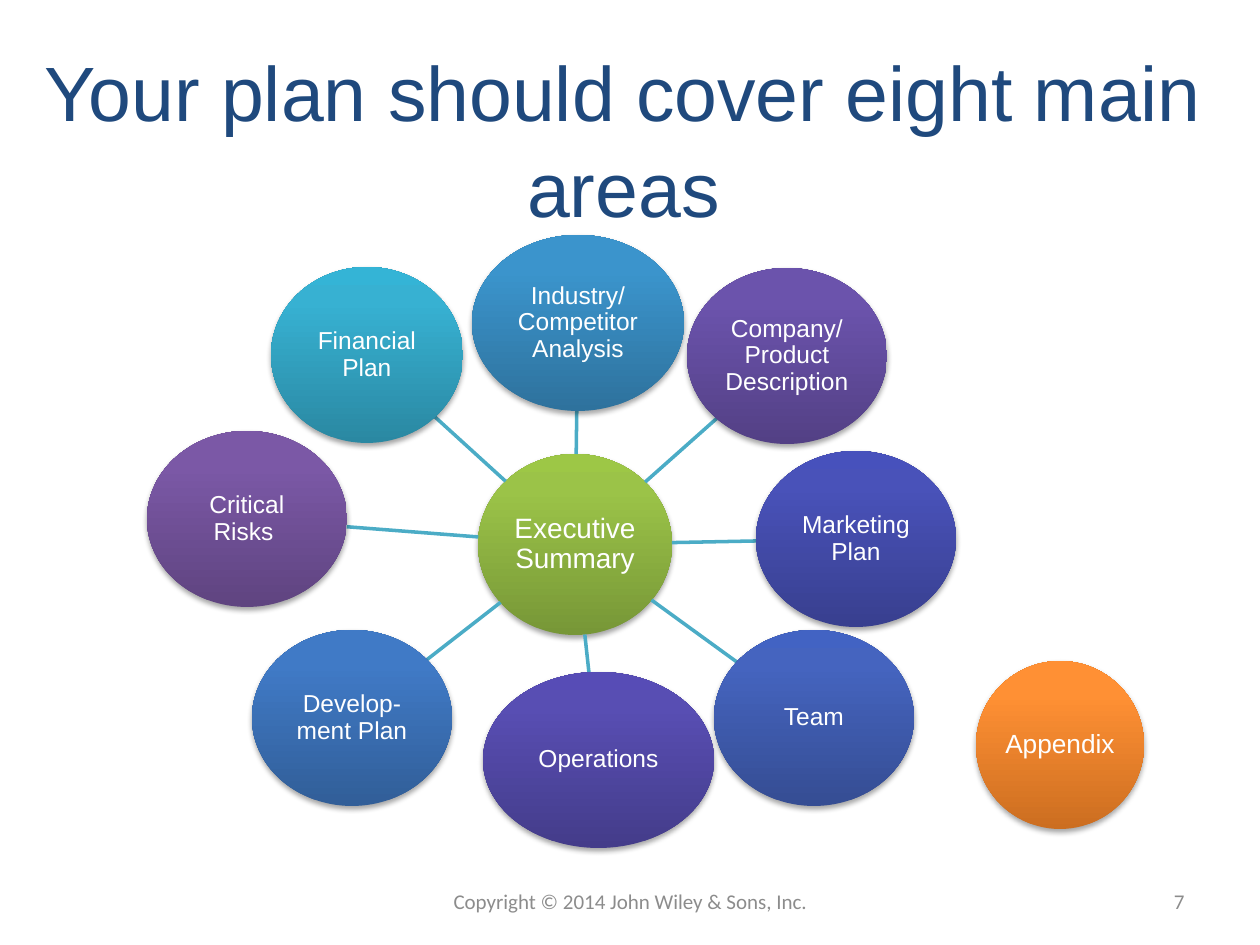
from math import hypot

from lxml import etree
from pptx import Presentation, util as u
from pptx.dml.color import RGBColor
from pptx.enum import shapes, text
from pptx.oxml import parse_xml
from pptx.oxml.ns import nsdecls, qn

SCALE = u.Inches(1) / 126
NAVY = RGBColor(0x1F, 0x49, 0x7D)
TEAL = RGBColor(0x4B, 0xAC, 0xC6)
GRAY = RGBColor(0x8C, 0x8C, 0x8C)
WHITE = RGBColor(0xFF, 0xFF, 0xFF)

# Each shade runs from the bottom of a ball to its top.
STOPS = (0, 80, 100)
LIME = [RGBColor.from_string(c) for c in ("779737", "9BC348", "9DC746")]
PLUM = [RGBColor.from_string(c) for c in ("5F4480", "7B58A6", "7C57A8")]
GRAPE = [RGBColor.from_string(c) for c in ("534085", "6B53AC", "6B52AF")]
INDIGO = [RGBColor.from_string(c) for c in ("443C8A", "584EB3", "574CB6")]
ROYAL = [RGBColor.from_string(c) for c in ("383F8F", "4952B9", "4751BC")]
COBALT = [RGBColor.from_string(c) for c in ("354D93", "4564BF", "4263C3")]
BLUE = [RGBColor.from_string(c) for c in ("315E98", "407AC6", "3E7AC9")]
SKY = [RGBColor.from_string(c) for c in ("2E729D", "3B94CC", "3995CF")]
AQUA = [RGBColor.from_string(c) for c in ("2A88A2", "37B1D2", "34B4D6")]
ORANGE = [RGBColor.from_string(c) for c in ("CC6E20", "FF9034", "FF9136")]

HUB = (478, 454, 194, 181)
AREAS = [
    ("Critical Risks ", (147, 431, 200, 176), PLUM),
    ("Company/ Product Description", (687, 268, 200, 176), GRAPE),
    ("Operations", (483, 672, 231, 176), INDIGO),
    ("Marketing Plan", (756, 451, 200, 176), ROYAL),
    ("Team", (714, 630, 200, 176), COBALT),
    ("Develop-ment Plan", (252, 630, 200, 176), BLUE),
    ("Industry/ Competitor Analysis", (472, 235, 212, 176), SKY),
    ("Financial Plan", (271, 267, 192, 176), AQUA),
]


def px(*vals):
    return [round(v * SCALE) for v in vals]


def write(frame, words, size=14, font="Arial", color=WHITE,
          align=text.PP_ALIGN.CENTER, space=None, inset=None):
    frame.word_wrap = True
    frame.vertical_anchor = text.MSO_ANCHOR.MIDDLE
    if inset is not None:
        gap, = px(inset)
        frame.margin_left = frame.margin_right = gap
        frame.margin_top = frame.margin_bottom = gap
    para = frame.paragraphs[0]
    para.alignment = align
    if space:
        para.line_spacing = space
    run = para.add_run()
    run.text = words
    run.font.size = u.Pt(size)
    run.font.name = font
    run.font.color.rgb = color


def rim(start, end):
    """Point where the ray between two box centres leaves the first ellipse."""
    (x, y), (x2, y2) = [(l + w / 2, t + h / 2) for l, t, w, h in (start, end)]
    dx, dy = x2 - x, y2 - y
    part = 1 / hypot(dx / (start[2] / 2), dy / (start[3] / 2))
    return x + dx * part, y + dy * part


class Deck:
    def __init__(self):
        self.show = Presentation()
        self.show.slide_width, self.show.slide_height = px(1260, 945)
        self.slide = self.show.slides.add_slide(self.show.slide_layouts[6])

    def label(self, words, box, **style):
        shape = self.slide.shapes.add_textbox(*px(*box))
        write(shape.text_frame, words, **style)

    def ball(self, words, box, shade, size=14):
        shape = self.slide.shapes.add_shape(shapes.MSO_SHAPE.OVAL, *px(*box))
        shape.line.fill.background()
        self.blend(shape, shade)
        self.shadow(shape)
        write(shape.text_frame, words, size=size, space=0.9, inset=1)

    def blend(self, shape, shade):
        """Fill with a three-stop gradient that rises from the bottom."""
        shape.fill.gradient()
        grad = shape._element.spPr.find(qn("a:gradFill"))
        stops = "".join(
            f'<a:gs pos="{pos * 1000}"><a:srgbClr val="{color}"/></a:gs>'
            for pos, color in zip(STOPS, shade))
        new = parse_xml(
            f'<a:gradFill {nsdecls("a")} rotWithShape="1"><a:gsLst>{stops}'
            '</a:gsLst><a:lin ang="16200000" scaled="0"/></a:gradFill>')
        grad.getparent().replace(grad, new)

    def shadow(self, shape):
        shape.shadow.inherit = False
        shape._element.spPr.find(qn("a:effectLst")).append(parse_xml(
            f'<a:outerShdw {nsdecls("a")} blurRad="{u.Pt(3.1)}" '
            f'dist="{u.Pt(1.8)}" dir="5400000" rotWithShape="0">'
            '<a:srgbClr val="000000"><a:alpha val="35000"/></a:srgbClr>'
            '</a:outerShdw>'))

    def spoke(self, start, end):
        line = self.slide.shapes.add_connector(
            shapes.MSO_CONNECTOR.STRAIGHT,
            *px(*rim(start, end), *rim(end, start)))
        line.line.color.rgb = TEAL
        line.line.width = u.Pt(2)
        etree.SubElement(line._element.spPr, qn("a:effectLst"))


def main():
    deck = Deck()
    deck.label("Your plan should cover eight main areas", (25, 37, 1197, 199),
               size=44, color=NAVY, space=1.04)
    deck.ball("Executive Summary", HUB, LIME, size=16)
    for words, box, shade in AREAS:
        deck.spoke(HUB, box)
        deck.ball(words, box, shade)
    deck.ball("Appendix", (976, 661, 168, 168), ORANGE, size=15)
    foot = dict(size=12, font="Calibri", color=GRAY)
    deck.label("Copyright © 2014 John Wiley & Sons, Inc.",
               (431, 876, 399, 50), **foot)
    deck.label("7", (903, 876, 294, 50), align=text.PP_ALIGN.RIGHT, **foot)
    deck.show.save("out.pptx")


if __name__ == "__main__":
    main()
